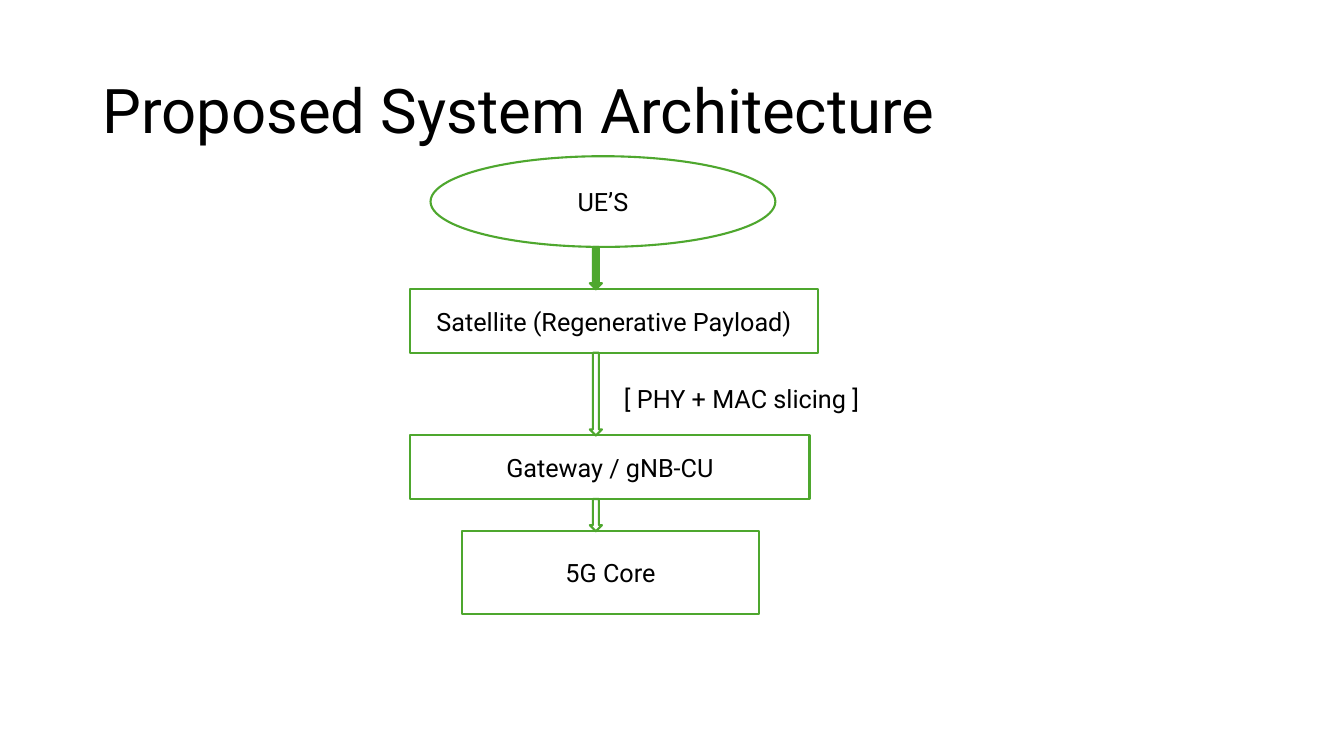
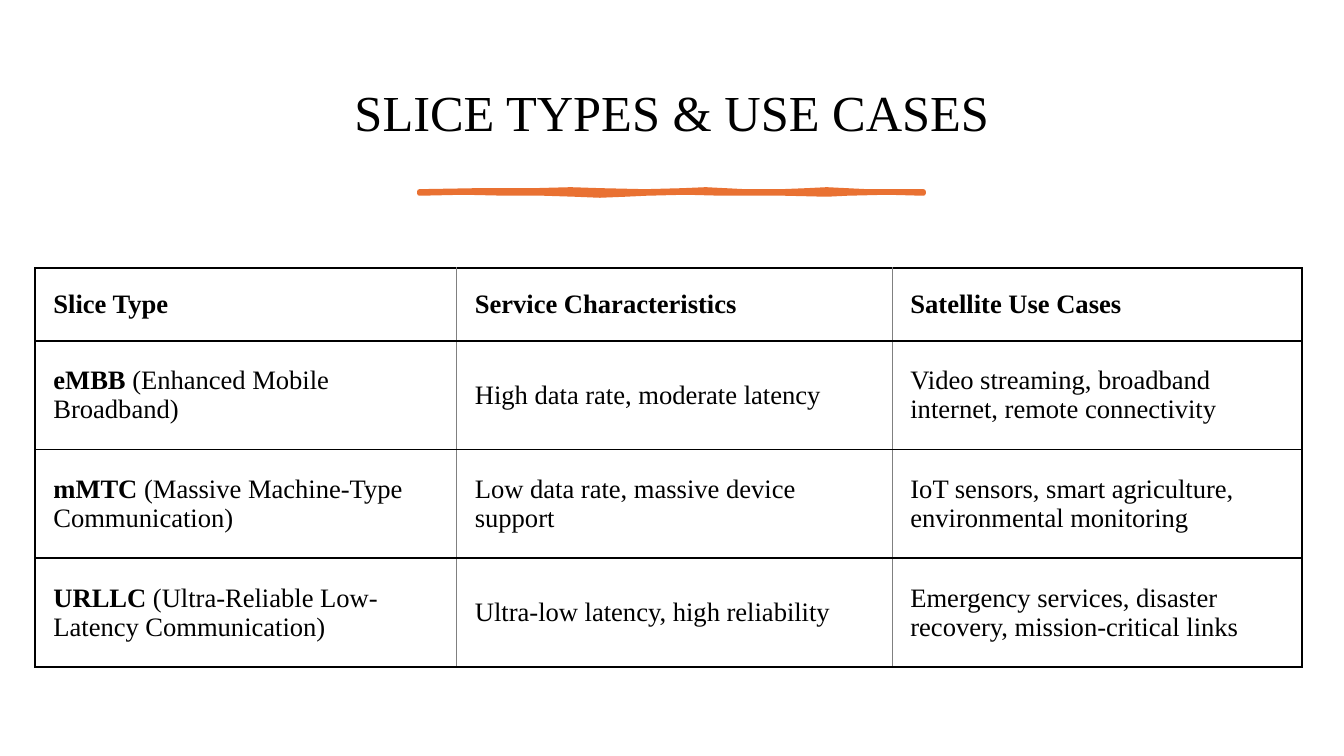
"""Build two slides: a satellite 5G architecture flow and a table of slice types."""
from lxml import etree
from pptx import Presentation
from pptx.dml.color import RGBColor
from pptx.enum.shapes import MSO_SHAPE
from pptx.enum.text import MSO_ANCHOR, PP_ALIGN
from pptx.oxml.ns import qn
from pptx.util import Pt

PX = 9144
BLACK = RGBColor(0x00, 0x00, 0x00)
WHITE = RGBColor(0xFF, 0xFF, 0xFF)
GRAY = RGBColor(0x80, 0x80, 0x80)
GREEN = RGBColor(0x4E, 0xA7, 0x2E)
ORANGE = RGBColor(0xE9, 0x71, 0x32)
SANS = "Roboto"
SERIF = "Times New Roman"
LEFT, CENTER = PP_ALIGN.LEFT, PP_ALIGN.CENTER
TOP, MIDDLE = MSO_ANCHOR.TOP, MSO_ANCHOR.MIDDLE
OVAL, RECT, ARROW = MSO_SHAPE.OVAL, MSO_SHAPE.RECTANGLE, MSO_SHAPE.DOWN_ARROW


def write(frame, runs, size, font, align=LEFT, anchor=MIDDLE, space=1.0):
    """Fill a text frame with one paragraph of (text, bold) runs."""
    frame.word_wrap = True
    frame.vertical_anchor = anchor
    para = frame.paragraphs[0]
    para.alignment = align
    para.line_spacing = space
    for text, bold in runs:
        run = para.add_run()
        run.text = text
        run.font.size = Pt(size)
        run.font.name = font
        run.font.bold = bold
        run.font.color.rgb = BLACK


def paint(shape, fill, line, width):
    """Give a shape a flat fill and outline."""
    shape.shadow.inherit = False
    shape.fill.solid()
    shape.fill.fore_color.rgb = fill
    shape.line.color.rgb = line
    shape.line.width = Pt(width)


deck = Presentation()
deck.slide_width, deck.slide_height = 1333 * PX, 750 * PX

TITLES = [
    ("Proposed System Architecture", (92, 40, 1150, 145), 44, SANS, LEFT),
    ("SLICE TYPES & USE CASES", (70, 46, 1193, 137), 36, SERIF, CENTER),
]
for text, area, size, font, align in TITLES:
    slide = deck.slides.add_slide(deck.slide_layouts[6])
    title = slide.shapes.add_textbox(*[n * PX for n in area])
    write(title.text_frame, [(text, False)], size, font, align, space=0.9)
flow, cases = [slide.shapes for slide in deck.slides]

STEPS = [
    ("UE’S", OVAL, 427, 155, 342, 90),
    ("Satellite (Regenerative Payload)", RECT, 407, 287, 404, 63),
    ("Gateway / gNB-CU", RECT, 407, 432, 396, 63),
    ("5G Core", RECT, 458, 527, 295, 82),
]
for text, kind, *area in STEPS:
    box = flow.add_shape(kind, *[n * PX for n in area])
    paint(box, WHITE, GREEN, 1.5)
    write(box.text_frame, [(text, False)], 18, SANS, CENTER)

for step, after, fill in zip(STEPS, STEPS[1:], (GREEN, WHITE, WHITE)):
    top = step[3] + step[5]
    arrow = flow.add_shape(ARROW, 585 * PX, top * PX, 12 * PX, (after[3] - top) * PX)
    paint(arrow, fill, GREEN, 1.5)

note = flow.add_textbox(609 * PX, 375 * PX, 351 * PX, 71 * PX)
write(note.text_frame, [("[ PHY + MAC slicing ]", False)], 18, SANS, anchor=TOP)

UPPER = [
    (416, 190), (473, 189), (529, 189), (566, 188), (596, 189), (640, 190), (677, 189),
    (700, 188), (739, 190), (775, 190), (800, 189), (820, 188), (860, 190), (916, 190),
]
LOWER = [
    (916, 192), (880, 191), (840, 192), (820, 193), (779, 192), (717, 192), (680, 191),
    (641, 192), (620, 193), (595, 194), (570, 193), (540, 192), (503, 192), (460, 191),
    (416, 192),
]
pen = cases.build_freeform(*UPPER[0], scale=PX)
pen.add_line_segments(UPPER[1:] + LOWER, close=True)
paint(pen.convert_to_shape(), ORANGE, ORANGE, 3.25)

WIDTHS = [418, 432, 406]
HEIGHTS = [72, 108, 108, 108]
ROWS = [
    [[("Slice Type", True)], [("Service Characteristics", True)],
     [("Satellite Use Cases", True)]],
    [[("eMBB", True), (" (Enhanced Mobile Broadband)", False)],
     [("High data rate, moderate latency", False)],
     [("Video streaming, broadband internet, remote connectivity", False)]],
    [[("mMTC", True), (" (Massive Machine-Type Communication)", False)],
     [("Low data rate, massive device support", False)],
     [("IoT sensors, smart agriculture, environmental monitoring", False)]],
    [[("URLLC", True), (" (Ultra-Reliable Low-Latency Communication)", False)],
     [("Ultra-low latency, high reliability", False)],
     [("Emergency services, disaster recovery, mission-critical links", False)]],
]
frame = cases.add_table(len(ROWS), len(WIDTHS), 35 * PX, 266 * PX,
                        sum(WIDTHS) * PX, sum(HEIGHTS) * PX)
table = frame.table
table.first_row = table.horz_banding = False
for col, width in zip(table.columns, WIDTHS):
    col.width = width * PX
for row, height in zip(table.rows, HEIGHTS):
    row.height = height * PX

THICK, THIN = (BLACK, 1.5), (GRAY, 0.5)
for y, row in enumerate(ROWS):
    for x, runs in enumerate(row):
        cell = table.cell(y, x)
        cell.margin_left = 18 * PX
        cell.margin_top = cell.margin_right = cell.margin_bottom = 14 * PX
        write(cell.text_frame, runs, 19, SERIF)
        cell.vertical_anchor = MIDDLE
        edges = {
            "a:lnL": THIN if x else THICK,
            "a:lnR": THICK if x == len(row) - 1 else THIN,
            "a:lnT": THICK,
            "a:lnB": THICK,
        }
        props = cell._tc.get_or_add_tcPr()
        for tag, (color, width) in edges.items():
            line = etree.SubElement(props, qn(tag), w=str(Pt(width)))
            fill = etree.SubElement(line, qn("a:solidFill"))
            etree.SubElement(fill, qn("a:srgbClr"), val=str(color))
        cell.fill.background()

deck.save("out.pptx")
